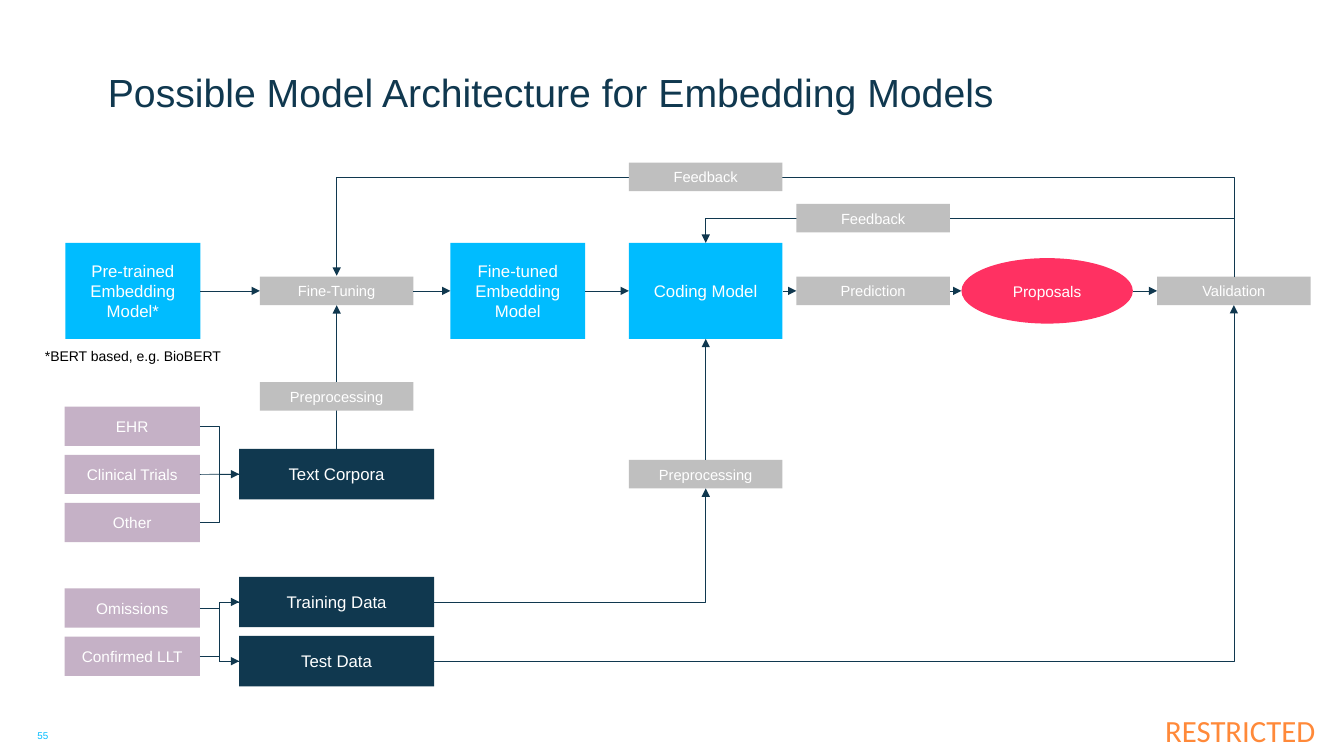
import pptx
import pptx.dml.color
import pptx.enum.shapes
import pptx.enum.text
import pptx.oxml
import pptx.oxml.ns
import pptx.util
from pptx.util import Cm

COLORS = {
    "navy": "10384F", "blue": "00BCFF", "grey": "BFBFBF", "mauve": "C5B1C6",
    "pink": "FF3162", "orange": "FF8939", "white": "FFFFFF", "black": "000000",
}
# Node kind: width and height in cm, fill, text size
NODES = {
    "model": (3.4, 2.42, "blue", 12),
    "coding": (3.87, 2.42, "blue", 12),
    "data": (4.91, 1.27, "navy", 12),
    "source": (3.41, 0.99, "mauve", 11),
    "step": (3.87, 0.72, "grey", 10.5),
    "result": (4.32, 1.65, "pink", 11),
}
TOP, LEFT, BOTTOM, RIGHT = range(4)
SHAPE = pptx.enum.shapes.MSO_SHAPE
CONNECTOR = pptx.enum.shapes.MSO_CONNECTOR
ALIGN = pptx.enum.text.PP_ALIGN
ANCHOR = pptx.enum.text.MSO_ANCHOR


def rgb(color):
    return pptx.dml.color.RGBColor.from_string(COLORS[color])


def write(shape, text, size, color, align=ALIGN.CENTER, anchor=ANCHOR.MIDDLE, font="Arial"):
    frame = shape.text_frame
    frame.word_wrap = True
    frame.vertical_anchor = anchor
    frame.text = text
    paragraph = frame.paragraphs[0]
    paragraph.alignment = align
    run_font = paragraph.runs[0].font
    run_font.name = font
    run_font.size = pptx.util.Pt(size)
    run_font.color.rgb = rgb(color)


def add_label(slide, box, text, size, color, **style):
    label = slide.shapes.add_textbox(*map(Cm, box))
    frame = label.text_frame
    frame.margin_left = frame.margin_right = frame.margin_top = frame.margin_bottom = 0
    write(label, text, size, color, **style)


def add_node(slide, kind, text, left, middle):
    width, height, fill, size = NODES[kind]
    preset = SHAPE.OVAL if kind == "result" else SHAPE.RECTANGLE
    shape = slide.shapes.add_shape(
        preset, Cm(left), Cm(middle - height / 2), Cm(width), Cm(height))
    shape.shadow.inherit = False
    shape.fill.solid()
    shape.fill.fore_color.rgb = rgb(fill)
    shape.line.fill.background()
    write(shape, text, size, "white")
    return shape


def side_point(shape, side):
    x = shape.left + shape.width * {LEFT: 0, RIGHT: 2}.get(side, 1) // 2
    y = shape.top + shape.height * {TOP: 0, BOTTOM: 2}.get(side, 1) // 2
    return x, y


def style_line(connector, arrow):
    connector.line.color.rgb = rgb("navy")
    connector.line.width = pptx.util.Pt(0.5)
    properties = connector._element.spPr
    if arrow:
        tail = pptx.oxml.ns.qn("a:tailEnd")
        connector.line._get_or_add_ln().makeelement(tail)
        pptx.oxml.xmlchemy.OxmlElement("a:tailEnd")
        connector.line._get_or_add_ln().append(arrowhead())
    properties.append(pptx.oxml.xmlchemy.OxmlElement("a:effectLst"))


def arrowhead():
    head = pptx.oxml.xmlchemy.OxmlElement("a:tailEnd")
    head.set("type", "triangle")
    return head


def connect(slide, start, start_side, end, end_side, arrow=True):
    """Straight when the ends are level, one bend into a bottom side, else two bends."""
    begin, finish = side_point(start, start_side), side_point(end, end_side)
    level = min(abs(begin[0] - finish[0]), abs(begin[1] - finish[1])) < Cm(0.05)
    kind = CONNECTOR.STRAIGHT if level else CONNECTOR.ELBOW
    connector = slide.shapes.add_connector(kind, *begin, *finish)
    # Ovals number their connection sites differently
    if start.auto_shape_type != SHAPE.OVAL:
        connector.begin_connect(start, start_side)
    if end.auto_shape_type != SHAPE.OVAL:
        connector.end_connect(end, end_side)
    if not level and end_side == BOTTOM:
        connector._element.spPr.prstGeom.set("prst", "bentConnector2")
    style_line(connector, arrow)


def connect_over(slide, start, end, rail):
    """Leave the top of start, run along the rail height and drop onto end."""
    (x1, y1), (x2, y2) = side_point(start, TOP), side_point(end, TOP)
    drop, span = max(y1 - y2, Cm(0.04)), x1 - x2
    left, top = (x1 + x2 - drop) // 2, (y1 + y2 - span) // 2
    connector = slide.shapes.add_connector(
        CONNECTOR.ELBOW, left, top + span, left + drop, top)
    connector._element.spPr.xfrm.set("rot", str(270 * 60000))
    guide = pptx.oxml.xmlchemy.OxmlElement("a:gd")
    guide.set("name", "adj1")
    guide.set("fmla", f"val {round((y1 - Cm(rail)) / drop * 100000)}")
    connector._element.spPr.prstGeom.get_or_add_avLst().append(guide)
    style_line(connector, True)


def add_pipeline(slide, left, top, height):
    steps = [
        ("model", "Pre-trained Embedding Model*", 0),
        ("step", "Fine-Tuning", 4.9),
        ("model", "Fine-tuned Embedding Model", 9.7),
        ("coding", "Coding Model", 14.2),
        ("step", "Prediction", 18.42),
        ("result", "Proposals", 22.58),
        ("step", "Validation", 27.51),
    ]
    nodes = [add_node(slide, kind, text, left + offset, top + height / 2)
             for kind, text, offset in steps]
    for start, end in zip(nodes, nodes[1:]):
        connect(slide, start, RIGHT, end, LEFT)
    add_label(slide, (left - 1.45, top + height + 0.02, 6.3, 0.84),
              "*BERT based, e.g. BioBERT", 10, "black")
    return nodes


def add_sources(slide, left, top, sources, data_sets):
    """Stack sources on the left; data_sets gives each data box and its middle."""
    height, pitch = NODES["source"][1], 1.21
    source_nodes = [add_node(slide, "source", text, left, top + height / 2 + row * pitch)
                    for row, text in enumerate(sources)]
    data_nodes = [add_node(slide, "data", text, left + 4.4, top + middle)
                  for text, middle in data_sets]
    for data in data_nodes:
        for row, source in enumerate(source_nodes):
            connect(slide, source, RIGHT, data, LEFT, arrow=row == 0)
    return data_nodes


def add_feedback(slide, start, end, label_left, rail):
    connect_over(slide, start, end, rail)
    add_node(slide, "step", "Feedback", label_left, rail)


def add_frame(slide, width, height):
    add_label(slide, (2.72, 0.51, 30, 2.39), "Possible Model Architecture for Embedding Models",
              28, "navy", align=ALIGN.LEFT, anchor=ANCHOR.BOTTOM)
    add_label(slide, (0.53, height - 0.66, 1.1, 0.3), "55", 7, "blue", anchor=ANCHOR.TOP)
    add_label(slide, (width - 5.22, height - 1.3, 4.5, 1.3), "RESTRICTED", 22, "orange",
              align=ALIGN.RIGHT, font="Calibri")


def main():
    presentation = pptx.Presentation()
    presentation.slide_width, presentation.slide_height = Cm(33.87), Cm(19.05)
    slide = presentation.slides.add_slide(presentation.slide_layouts[6])
    add_frame(slide, 33.87, 19.05)

    # Model pipeline and the data feeding it
    pipeline = add_pipeline(slide, 1.65, 6.12, 2.42)
    tuning, coding, validation = pipeline[1], pipeline[3], pipeline[6]
    corpora, = add_sources(slide, 1.63, 10.25, ["EHR", "Clinical Trials", "Other"],
                           [("Text Corpora", 1.7)])
    training, test = add_sources(slide, 1.63, 14.83, ["Omissions", "Confirmed LLT"],
                                 [("Training Data", 0.34), ("Test Data", 1.83)])

    # Preprocessing and validation paths
    connect(slide, corpora, TOP, tuning, BOTTOM)
    add_node(slide, "step", "Preprocessing", 6.55, 9.99)
    preprocessing = add_node(slide, "step", "Preprocessing", 15.85, 11.95)
    connect(slide, training, RIGHT, preprocessing, BOTTOM)
    connect(slide, preprocessing, TOP, coding, BOTTOM)
    connect(slide, test, RIGHT, validation, BOTTOM)

    # Feedback loops
    add_feedback(slide, validation, coding, 20.07, 5.5)
    add_feedback(slide, validation, tuning, 15.85, 4.46)

    presentation.save("out.pptx")


if __name__ == "__main__":
    main()
